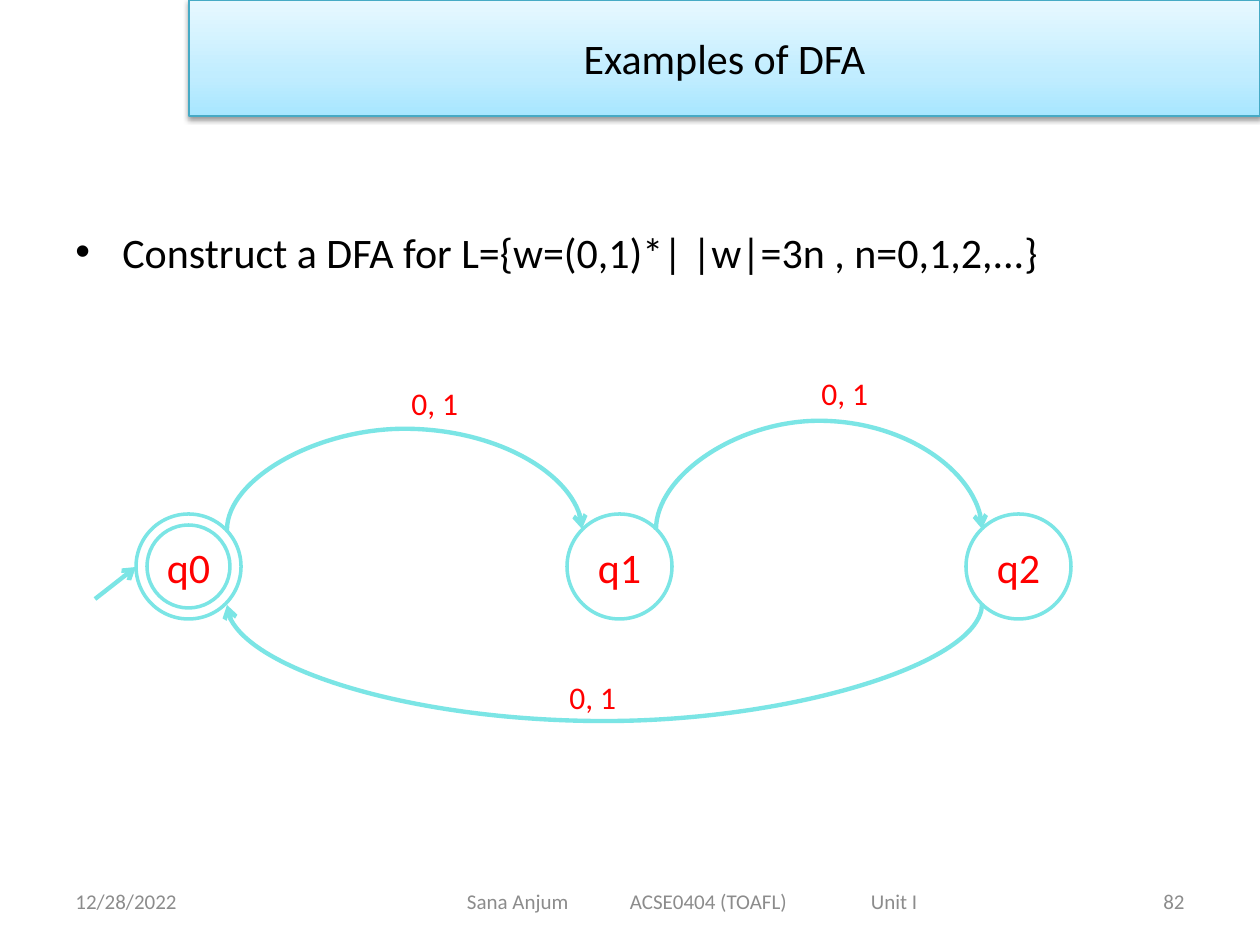
"""Build the slide showing a three-state DFA for lengths divisible by three."""
from pptx import Presentation, util as u
from pptx.dml.color import RGBColor
from pptx.enum import shapes, text
from pptx.oxml import parse_xml
from pptx.oxml.ns import nsdecls, qn

SCALE = 914400 / 126
FONT = "Calibri"
COLORS = {"text": "000000", "footer": "8C8C8C", "state": "7BE5E5", "label": "FF0000",
          "title_line": "46AAC5"}
TITLE_STOPS = [(0, "A7E6FF"), (35, "C1EDFF"), (100, "E7F8FF")]
TITLE = "Examples of DFA"
TASK = "Construct a DFA for L={w=(0,1)*| |w|=3n , n=0,1,2,...}"
DATE, PAGE = "12/28/2022", "82"
FOOTER = ["Sana Anjum", "ACSE0404 (TOAFL)", "Unit I"]
FOOTER_STARTS = [467, 630, 871]
FOOTER_LEFT, FOOTER_TOP, FOOTER_HEIGHT = 346, 876, 50

STATES = [("q0", 136), ("q1", 567), ("q2", 966)]
STATE_TOP, STATE_SIZE, RING_GAP = 514, 105, 11
START_ARROW = (95, 599, 136, 567)
ARCS = [(227, 582, 530, -102), (982, 227, 604, 118), (656, 982, 530, -110)]
EDGE_LABEL = "0, 1"
LABEL_PLACES = [(399, 378), (809, 368), (557, 672)]


def px(value):
    return u.Emu(round(value * SCALE))


def color(name):
    return RGBColor.from_string(COLORS[name])


def write(shape, content, size, color_name, align=text.PP_ALIGN.LEFT,
          anchor=text.MSO_ANCHOR.MIDDLE):
    frame = shape.text_frame
    frame.word_wrap = True
    frame.vertical_anchor = anchor
    paragraph = frame.paragraphs[0]
    paragraph.alignment = align
    run = paragraph.add_run()
    run.text = content
    run.font.name, run.font.size = FONT, u.Pt(size)
    run.font.color.rgb = color(color_name)
    return paragraph


def add_text(slide, box, *args, **options):
    shape = slide.shapes.add_textbox(*map(px, box))
    return shape, write(shape, *args, **options)


def add_title(slide):
    shape = slide.shapes.add_shape(shapes.MSO_SHAPE.RECTANGLE, *map(px, (189, 0, 1071, 116)))
    shape.line.color.rgb, shape.line.width = color("title_line"), u.Pt(0.75)
    shape.fill.background()
    shape.shadow.inherit = False
    properties = shape._element.spPr
    stops = "".join(f'<a:gs pos="{place * 1000}"><a:srgbClr val="{value}"/></a:gs>'
                    for place, value in TITLE_STOPS)
    gradient = parse_xml(f'<a:gradFill {nsdecls("a")} rotWithShape="1"><a:gsLst>{stops}</a:gsLst>'
                         '<a:lin ang="16200000" scaled="0"/></a:gradFill>')
    properties.replace(properties.find(qn("a:noFill")), gradient)
    properties.find(qn("a:effectLst")).append(parse_xml(
        f'<a:outerShdw {nsdecls("a")} blurRad="{u.Pt(3.1)}" dist="{u.Pt(1.6)}" dir="5400000" '
        'rotWithShape="0"><a:srgbClr val="000000"><a:alpha val="38000"/></a:srgbClr></a:outerShdw>'))
    write(shape, TITLE, 24, "text", text.PP_ALIGN.CENTER)


def add_task(slide):
    paragraph = add_text(slide, (63, 220, 1134, 624), TASK, 24, "text",
                         anchor=text.MSO_ANCHOR.TOP)[1]
    properties = paragraph._p.get_or_add_pPr()
    properties.set("marL", str(px(47)))
    properties.set("indent", str(px(-47)))
    properties.append(parse_xml(f'<a:buFont {nsdecls("a")} typeface="Arial"/>'))
    properties.append(parse_xml(f'<a:buChar {nsdecls("a")} char="•"/>'))


def add_footer(slide):
    for left, content, align in [(63, DATE, text.PP_ALIGN.LEFT), (903, PAGE, text.PP_ALIGN.RIGHT)]:
        add_text(slide, (left, FOOTER_TOP, 294, FOOTER_HEIGHT), content, 12, "footer", align)
    shape, paragraph = add_text(slide, (FOOTER_LEFT, FOOTER_TOP, 693, FOOTER_HEIGHT),
                                "\t".join(FOOTER), 12, "footer")
    first, *others = FOOTER_STARTS
    shape.text_frame.margin_left = px(first - FOOTER_LEFT)
    tabs = "".join(f'<a:tab pos="{px(start - first)}" algn="l"/>' for start in others)
    paragraph._p.get_or_add_pPr().append(
        parse_xml(f'<a:tabLst {nsdecls("a")}>{tabs}</a:tabLst>'))


def add_circle(slide, left, top, size):
    shape = slide.shapes.add_shape(shapes.MSO_SHAPE.OVAL, *map(px, (left, top, size, size)))
    shape.shadow.inherit = False
    shape.fill.background()
    shape.line.color.rgb, shape.line.width = color("state"), u.Pt(2)
    return shape


def add_arrow(slide, kind, points):
    arrow = slide.shapes.add_connector(kind, *map(px, points))
    arrow.line.color.rgb, arrow.line.width = color("state"), u.Pt(2.5)
    arrow.line._get_or_add_ln().append(parse_xml(f'<a:tailEnd {nsdecls("a")} type="arrow"/>'))
    arrow._element.spPr.append(parse_xml(f'<a:effectLst {nsdecls("a")}/>'))
    return arrow


def add_arc(slide, start, end, y, bend):
    span = abs(end - start)
    middle = (start + end) / 2
    rise = 1 if bend > 0 else -1
    center = y + rise / 2
    left, top = middle - 0.5, center - span / 2
    arc = add_arrow(slide, shapes.MSO_CONNECTOR.CURVE, (left, top, left + 1, top + span))
    properties = arc._element.spPr
    transform = properties.find(qn("a:xfrm"))
    transform.set("rot", "5400000")
    if bend < 0:
        transform.set("flipH", "1")
        transform.set("flipV", "1")
    geometry = properties.find(qn("a:prstGeom"))
    geometry.replace(geometry.find(qn("a:avLst")), parse_xml(
        f'<a:avLst {nsdecls("a")}><a:gd name="adj1" fmla="val {abs(bend) * 100000}"/></a:avLst>'))


def add_automaton(slide):
    for name, left in STATES:
        circle = add_circle(slide, left, STATE_TOP, STATE_SIZE)
        write(circle, name, 24, "label", text.PP_ALIGN.CENTER)
    add_circle(slide, STATES[0][1] + RING_GAP, STATE_TOP + RING_GAP, STATE_SIZE - 2 * RING_GAP)
    add_arrow(slide, shapes.MSO_CONNECTOR.STRAIGHT, START_ARROW)
    for arc in ARCS:
        add_arc(slide, *arc)
    for left, top in LABEL_PLACES:
        add_text(slide, (left, top, 73, 50), EDGE_LABEL, 18, "label", anchor=text.MSO_ANCHOR.TOP)


def main():
    presentation = Presentation()
    presentation.slide_width, presentation.slide_height = px(1260), px(945)
    slide = presentation.slides.add_slide(presentation.slide_layouts[6])
    add_footer(slide)
    add_title(slide)
    add_task(slide)
    add_automaton(slide)
    presentation.save("out.pptx")


if __name__ == "__main__":
    main()
